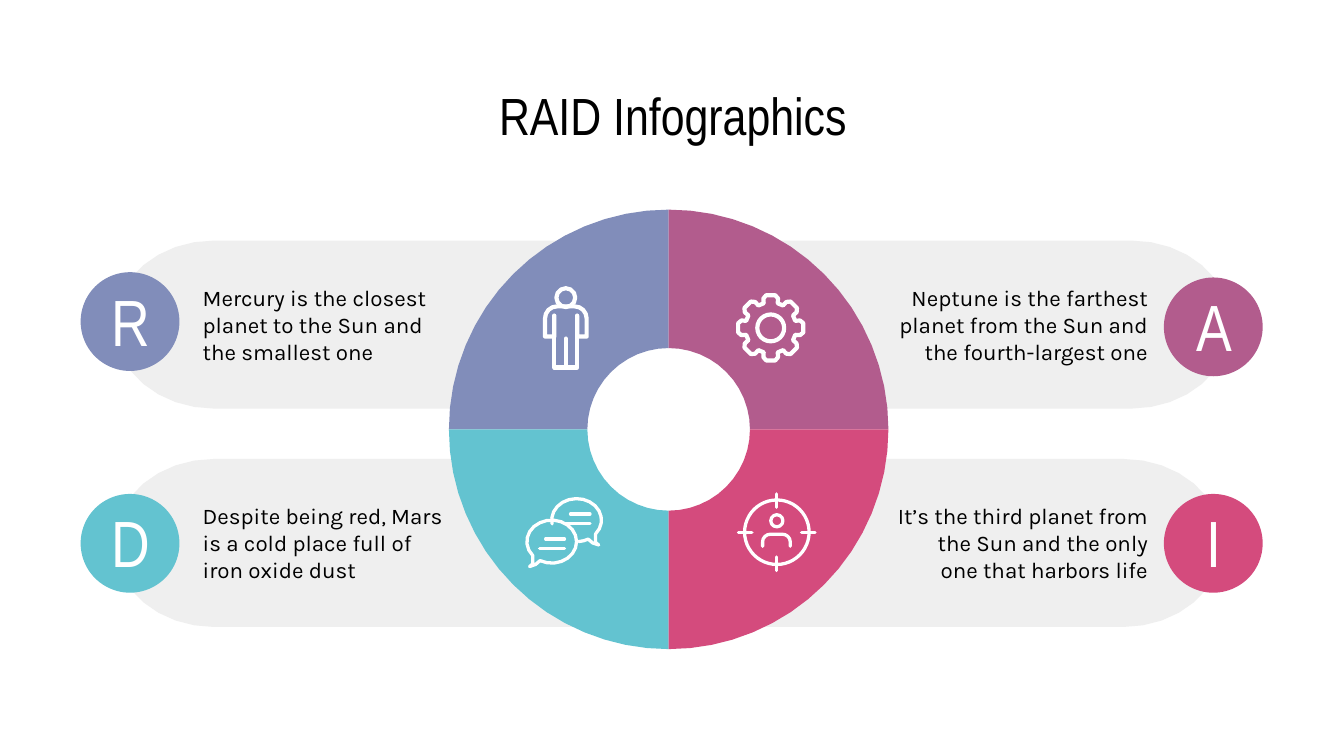
from math import cos, radians, sin

from lxml.etree import SubElement
from pptx import Presentation
from pptx.dml.color import RGBColor
from pptx.enum.shapes import MSO_SHAPE
from pptx.enum.text import MSO_ANCHOR, PP_ALIGN
from pptx.oxml.ns import qn
from pptx.util import Pt

PX = 4572
WHITE, BLACK, GREY = "FFFFFF", "000000", "EFEFEF"
CENTER_X, CENTER_Y, OUTER, INNER = 995, 639, 327, 121
BADGE = 147
PILL_HEIGHT, CAP = 250, 148


def arc(x, y, radius_x, radius_y, start, end, steps):
    angles = [radians(start + (end - start) * step / steps) for step in range(steps + 1)]
    return [(x + radius_x * cos(angle), y + radius_y * sin(angle)) for angle in angles]


def paint(shape, fill, stroke):
    shape.shadow.inherit = False
    if fill:
        shape.fill.solid()
        shape.fill.fore_color.rgb = RGBColor.from_string(fill)
    else:
        shape.fill.background()
    if stroke:
        shape.line.width = Pt(stroke)
        shape.line.color.rgb = RGBColor.from_string(WHITE)
        line = shape.element.spPr.find(qn("a:ln"))
        line.set("cap", "rnd")
        SubElement(line, qn("a:round"))
    else:
        shape.line.fill.background()


presentation = Presentation()
presentation.slide_width = 2000 * PX
presentation.slide_height = 1125 * PX
slide = presentation.slides.add_slide(presentation.slide_layouts[6])

quadrants = [
    ("R", "Mercury is the closest planet to the Sun and the smallest one",
     "818DBA", 180, 170, 358, 405, 398),
    ("A", "Neptune is the farthest planet from the Sun and the fourth-largest one",
     "B25C8D", 270, 1832, 358, 413, 406),
    ("D", "Despite being red, Mars is a cold place full of iron oxide dust",
     "63C3D0", 90, 170, 683, 735, 728),
    ("I", "It’s the third planet from the Sun and the only one that harbors life",
     "D44B7D", 0, 1820, 683, 735, 728),
]

outlines = []
circles = []
texts = [("RAID Infographics", (156, 118, 1690, 106), 28, "Arial Narrow", BLACK,
          PP_ALIGN.CENTER, MSO_ANCHOR.MIDDLE)]

for letter, body, color, angle, edge, pill_top, badge_top, letter_top in quadrants:
    is_left = edge < CENTER_X
    cap_x = edge + CAP if is_left else edge - CAP
    inner_x = 872 if is_left else 1118
    cap_start = 90 if is_left else -90
    cap = arc(cap_x, pill_top + PILL_HEIGHT / 2, CAP, PILL_HEIGHT / 2,
              cap_start, cap_start + 180, 16)
    inner_ends = [(inner_x, pill_top), (inner_x, pill_top + PILL_HEIGHT)]
    pill = cap + (inner_ends if is_left else inner_ends[::-1])
    ring = (arc(CENTER_X, CENTER_Y, OUTER, OUTER, angle, angle + 90, 16)
            + arc(CENTER_X, CENTER_Y, INNER, INNER, angle + 90, angle, 12))
    outlines += [([(pill, True)], GREY, None), ([(ring, True)], color, None)]
    badge_left = 120 if is_left else 1732
    circles.append((badge_left + BADGE / 2, badge_top + BADGE / 2, BADGE / 2, color, None))
    texts.append((body, (282 if is_left else 1316, pill_top + 45, 412, 160), 12, "Karla", BLACK,
                  PP_ALIGN.LEFT if is_left else PP_ALIGN.RIGHT, MSO_ANCHOR.TOP))
    texts.append((letter, (136 if is_left else 1748, letter_top, 118, 160), 35, "Arial Narrow",
                  WHITE, PP_ALIGN.CENTER, MSO_ANCHOR.TOP))

arms = ([(825, 470), (825, 501), (811, 501)] + arc(829, 474, 18, 18, 180, 270, 4)
        + arc(855, 474, 18, 18, 270, 360, 4) + [(873, 501), (859, 501), (859, 470)])
legs = [(825, 470), (825, 547), (859, 547), (859, 470)]
person = [(arms, False), (legs, False), ([(842, 504), (842, 547)], False)]

teeth = []
for tooth in range(8):
    for radius, offset in [(38, -16), (45, -14), (49, -8), (49, 8), (45, 14), (38, 16)]:
        angle = radians(tooth * 45 + offset)
        teeth.append((1147 + radius * cos(angle), 488 + radius * sin(angle)))

chat = [([(left, y), (right, y)], False)
        for left, right, y in [(812, 840, 802), (803, 840, 816), (849, 878, 765), (841, 878, 779)]]
tail = [(28, 33), (33, 37), (24, 34)]
back_bubble = arc(0, 0, 37, 32, 170, 400, 14) + tail + arc(0, 0, 37, 32, 62, 85, 2)
front_bubble = arc(0, 0, 37, 32, 62, 400, 20) + tail
for x, y, side, bubble, closed in [(858, 774, 1, back_bubble, False),
                                   (821, 806, -1, front_bubble, True)]:
    chat.append(([(x + side * dx, y + dy) for dx, dy in bubble], closed))

shoulders = ([(1135, 813)] + arc(1147, 806, 12, 11, 180, 270, 4)
             + arc(1164, 806, 12, 11, 270, 360, 4) + [(1176, 813)])
target = [(shoulders, False)]
for dx, dy in [(1, 0), (0, 1), (-1, 0), (0, -1)]:
    target.append(([(1156 + reach * dx, 792 + reach * dy) for reach in (37, 57)], False))

outlines += [(person, None, 2.25), ([(teeth, True)], None, 2.25),
             (chat, None, 1.75), (target, None, 1.75)]
circles += [
    (842, 443, 14, None, 2.25),
    (1147, 488, 20, None, 2.25),
    (1156, 792, 48, None, 1.75),
    (1156, 775, 9, None, 1.75),
]

for contours, fill, stroke in outlines:
    builder = None
    for points, closed in contours:
        scaled = [(round(x * PX), round(y * PX)) for x, y in points]
        if builder:
            builder.move_to(*scaled[0])
        else:
            builder = slide.shapes.build_freeform(*scaled[0])
        builder.add_line_segments(scaled[1:], close=closed)
    paint(builder.convert_to_shape(), fill, stroke)

for x, y, radius, fill, stroke in circles:
    box = [round(value * PX) for value in (x - radius, y - radius, 2 * radius, 2 * radius)]
    paint(slide.shapes.add_shape(MSO_SHAPE.OVAL, *box), fill, stroke)

for text, box, size, font_name, color, alignment, anchor in texts:
    frame = slide.shapes.add_textbox(*[value * PX for value in box]).text_frame
    frame_format = {"word_wrap": True, "vertical_anchor": anchor}
    frame_format.update({f"margin_{side}": 20 * PX for side in ("left", "top", "right", "bottom")})
    for name, value in frame_format.items():
        setattr(frame, name, value)
    paragraph = frame.paragraphs[0]
    paragraph.alignment = alignment
    run = paragraph.add_run()
    run.text = text
    for name, value in {"size": Pt(size), "name": font_name}.items():
        setattr(run.font, name, value)
    run.font.color.rgb = RGBColor.from_string(color)

presentation.save("out.pptx")
